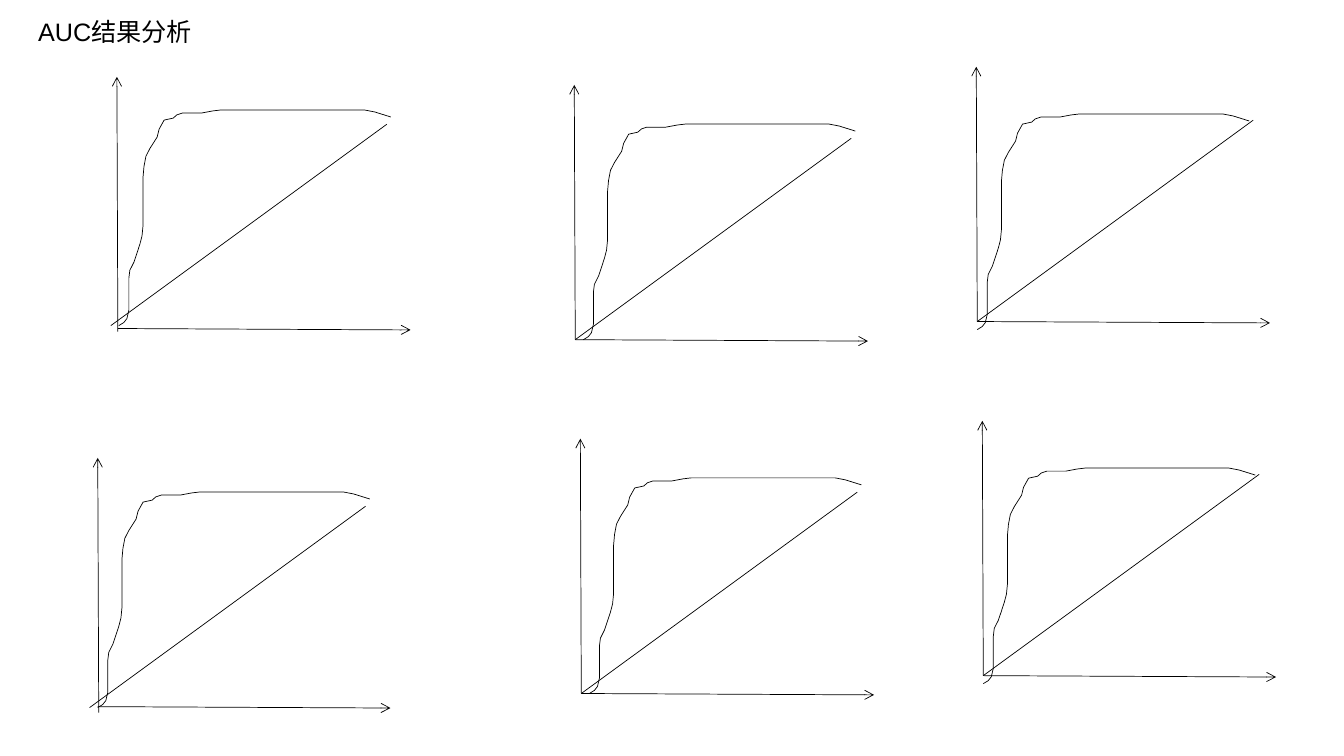
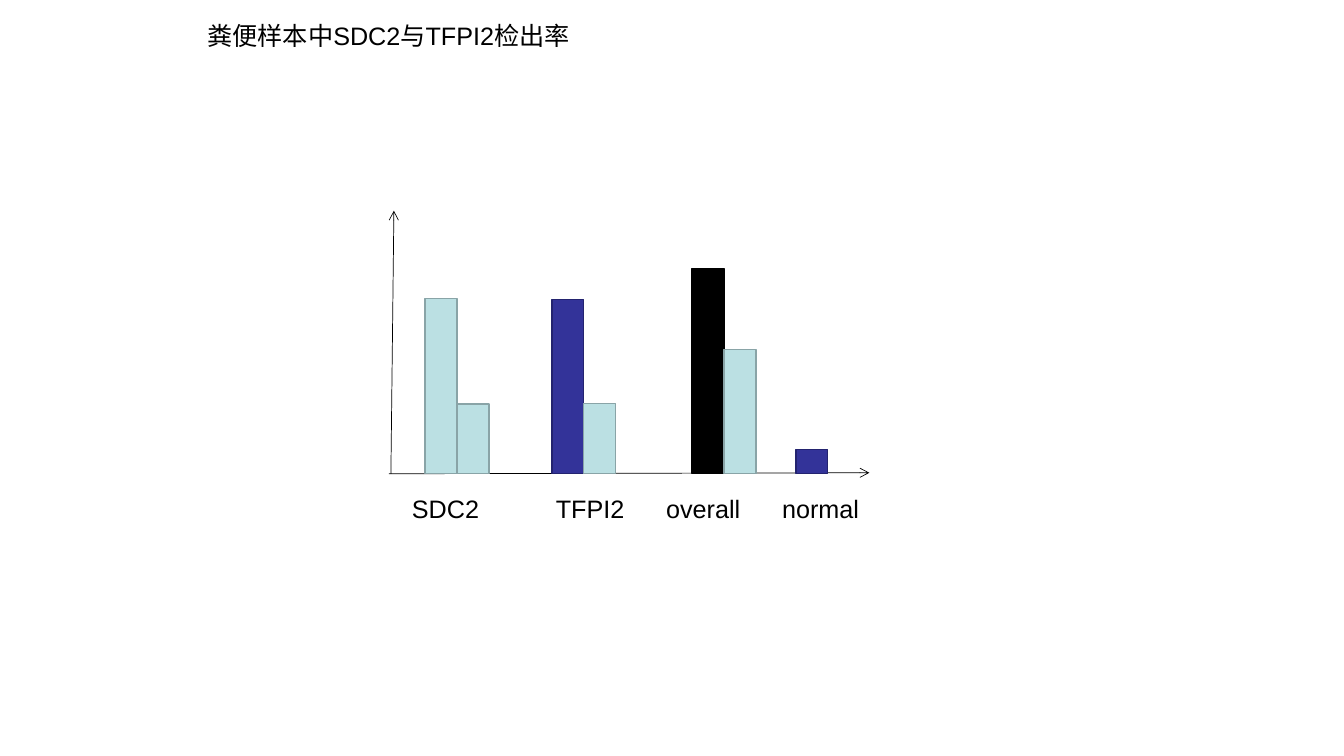
from lxml import etree
from pptx import Presentation
from pptx.dml.color import RGBColor
from pptx.enum.shapes import MSO_CONNECTOR, MSO_SHAPE
from pptx.enum.text import MSO_AUTO_SIZE
from pptx.oxml.ns import qn
from pptx.util import Pt

STRAIGHT = MSO_CONNECTOR.STRAIGHT
RECT = MSO_SHAPE.RECTANGLE
GROW = MSO_AUTO_SIZE.SHAPE_TO_FIT_TEXT

BLACK, PALE, NAVY = "000000", "BBE0E3", "333399"
BAR_EDGE = {PALE: "89A4A7", NAVY: "23236F", BLACK: BLACK}


def color(value):
    return RGBColor.from_string(value)


class Deck:
    font = {"name": "Arial", "size": Pt(18)}
    text_frame = {"word_wrap": True, "auto_size": GROW}
    thin, edge = 0.51, 0.99

    def __init__(self, width, height):
        self.prs = Presentation()
        self.prs.slide_width, self.prs.slide_height = Pt(width), Pt(height)

    def slide(self):
        self.s = self.prs.slides.add_slide(self.prs.slide_layouts[6])

    def text(self, x, y, words, width=386.64):
        tf = self.s.shapes.add_textbox(
            Pt(x), Pt(y), Pt(width), Pt(28.8)).text_frame
        for name, value in self.text_frame.items():
            setattr(tf, name, value)
        r = tf.paragraphs[0].add_run()
        r.text = words
        for name, value in self.font.items():
            setattr(r.font, name, value)
        r.font.color.rgb = color(BLACK)

    def stroke(self, sp, line_color, width):
        sp.line.color.rgb = color(line_color)
        sp.line.width = Pt(width)

    def line(self, x, y, dx, dy, arrow=False):
        sp = self.s.shapes.add_connector(
            STRAIGHT, Pt(x), Pt(y), Pt(x + dx), Pt(y + dy))
        self.stroke(sp, BLACK, self.thin)
        if arrow:
            etree.SubElement(sp.line._get_or_add_ln(), qn("a:tailEnd"),
                             type="arrow")
        etree.SubElement(sp._element.spPr, qn("a:effectLst"))

    def curve(self, x, y, points):
        spots = [(Pt(x + px), Pt(y + py)) for px, py in points]
        builder = self.s.shapes.build_freeform(*spots[0])
        builder.add_line_segments(spots[1:], close=False)
        sp = builder.convert_to_shape()
        sp.shadow.inherit = False
        sp.fill.background()
        self.stroke(sp, BLACK, self.thin)

    def bar(self, x, base, width, height, fill):
        sp = self.s.shapes.add_shape(
            RECT, Pt(x), Pt(base - height), Pt(width), Pt(height))
        sp.shadow.inherit = False
        sp.fill.solid()
        sp.fill.fore_color.rgb = color(fill)
        self.stroke(sp, BAR_EDGE[fill], self.edge)


deck = Deck(960.48, 540)

# Slide 1: six ROC sketches
deck.slide()
deck.text(20.16, 7.92, "AUC结果分析")

# ROC curve, measured from its foot
ROC = [(0, 0), (3.6, -2.2), (5.8, -5), (7.2, -11), (7.2, -34),
       (7.9, -39.5), (10.8, -45.3), (13, -51.8), (15.1, -58.2),
       (16.6, -64), (17.3, -71.2), (17.3, -105.8), (18, -113.7),
       (19.4, -121), (22.3, -126.6), (27.4, -134.6), (28.8, -140.3),
       (32.4, -146.8), (38.9, -148.2), (41.5, -150.5), (45.4, -151.8),
       (59, -151.8), (67, -153.3), (72.7, -154), (175.7, -154),
       (182.9, -152.6), (194.4, -149)]

# Foot of the y axis, then offsets of x axis, diagonal and curve
ALIGNED = (0, 0), (0, 0)
MIDDLE = (*ALIGNED, (5.8, 0))
RIGHT = (*ALIGNED, (0, 5.76))
PLOTS = [
    ((84.24, 236.88), (0, -2.2), (-5, -4.3), (0.7, -4.3)),
    ((411.12, 242.64), *MIDDLE),
    ((698.4, 229.68), *RIGHT),
    ((70.56, 509.04), (-0.7, -4.3), (-6.5, -3.6), (-0.7, -3.6)),
    ((415.44, 495.36), *MIDDLE),
    ((702.72, 482.6), *RIGHT),
]
for (x, y), x_axis, diagonal, foot in PLOTS:
    deck.line(x, y, -0.7, -182, arrow=True)
    deck.line(x + x_axis[0], y + x_axis[1], 209.2, 1, arrow=True)
    deck.line(x + diagonal[0], y + diagonal[1], 197.2, -143.8)
    deck.curve(x + foot[0], y + foot[1], ROC)

# Slide 2: detection rates
deck.slide()
deck.text(141.12, 10.8, "粪便样本中SDC2与TFPI2检出率")
deck.line(279.36, 338.4, 2.16, -187.9, arrow=True)
deck.line(277.92, 338.4, 343.4, -0.7, arrow=True)

# Label, label left, group left, bars as height and fill
BASE, BAR_WIDTH = 338.2, 22.8
GROUPS = [
    ("SDC2", 287.3, 303.8, [(124.8, PALE), (49.7, PALE)]),
    ("TFPI2", 390.2, 394.4, [(124.4, NAVY), (50, PALE)]),
    ("overall", 468.9, 494.6, [(146.2, BLACK), (88.6, PALE)]),
    ("normal", 551.8, 568.8, [(17.2, NAVY)]),
]
for label, label_x, group_x, bars in GROUPS:
    for i, (height, fill) in enumerate(bars):
        deck.bar(group_x + i * BAR_WIDTH, BASE, BAR_WIDTH, height, fill)
    deck.text(label_x, 348.48, label, width=90)

deck.prs.save("out.pptx")
